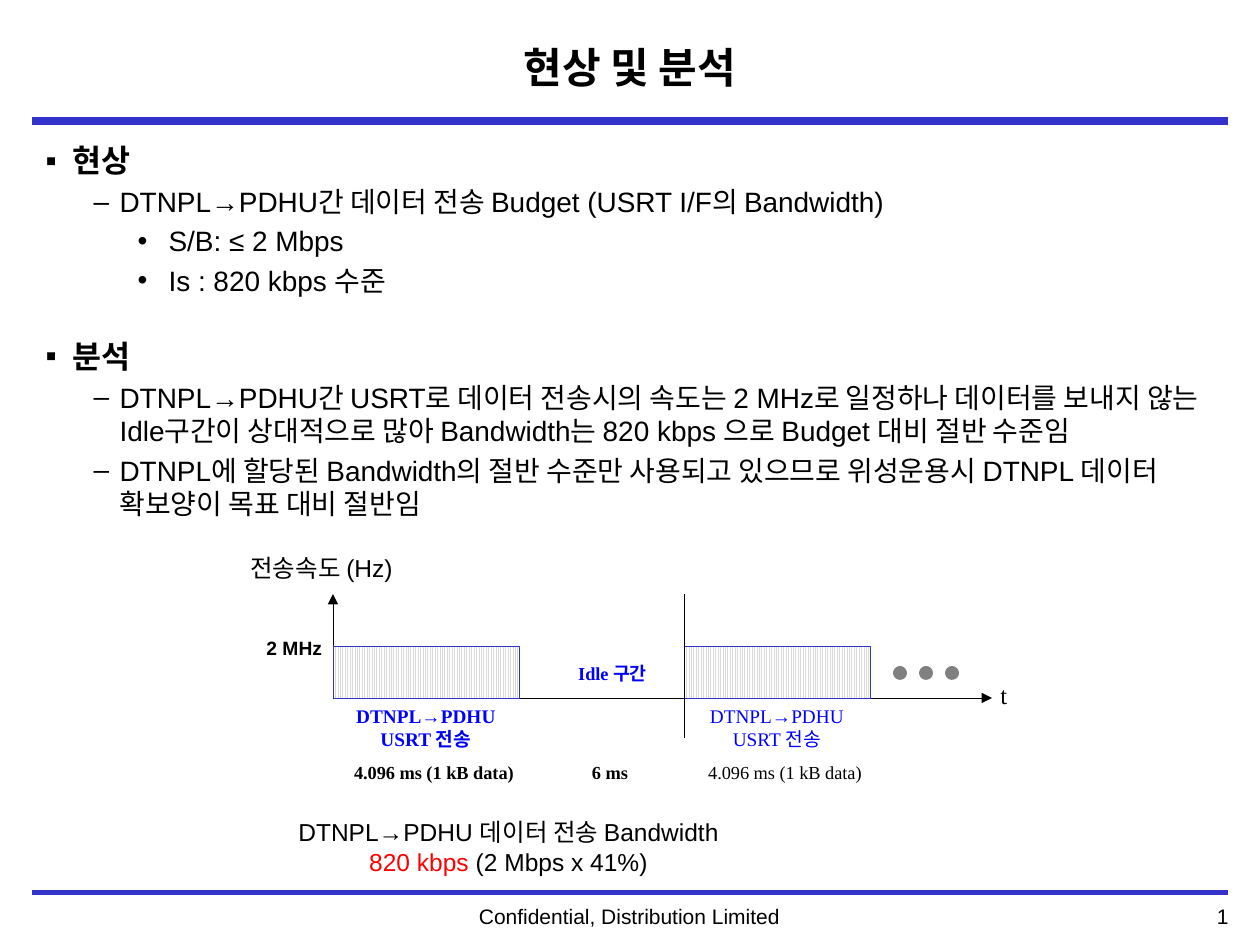
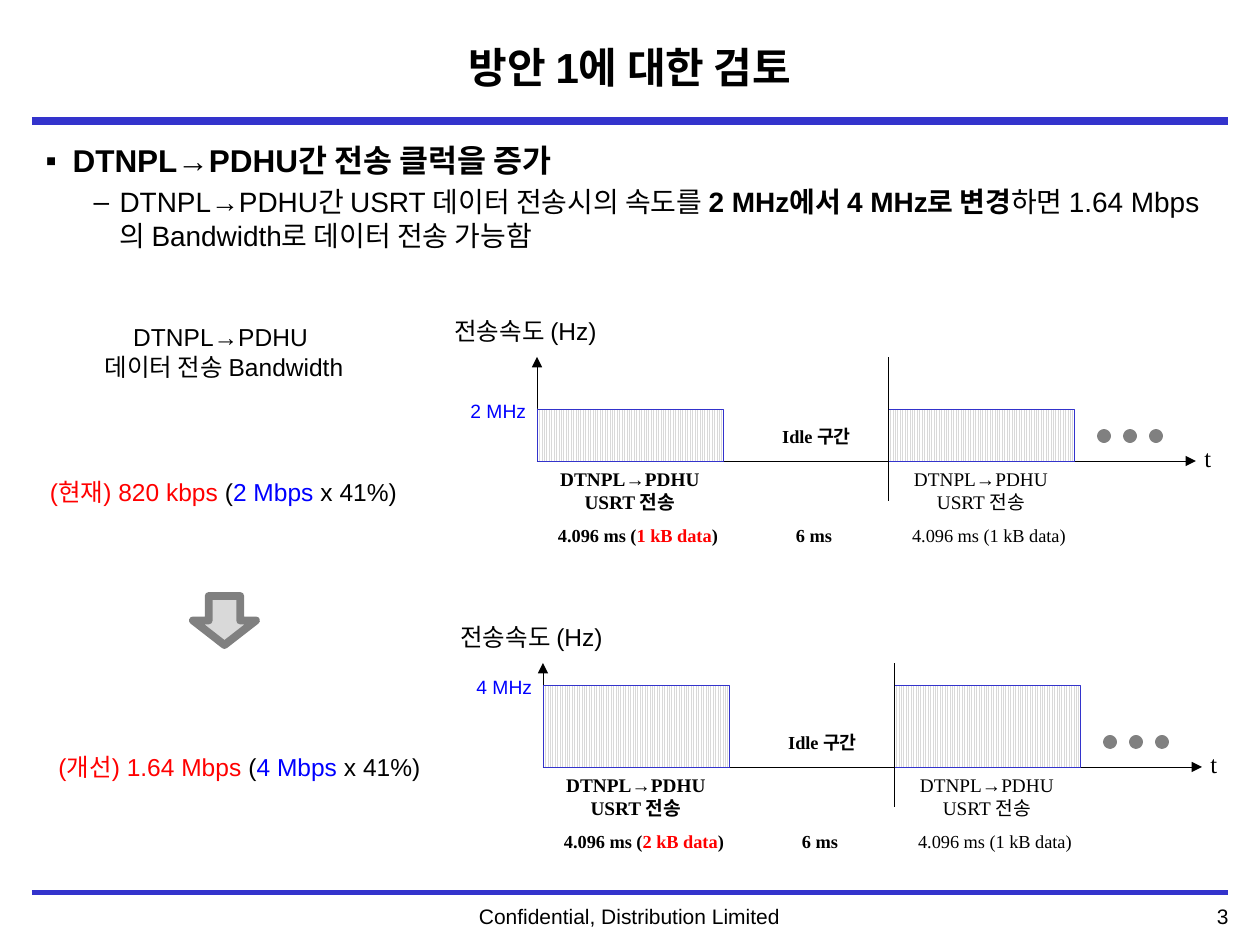
import pptx
import pptx.util
import pptx.dml.color
import pptx.enum.dml
import pptx.enum.shapes
import pptx.enum.text
import pptx.oxml.ns
from lxml import etree

# Shared look
BLACK, BLUE, RED = "000000", "0000FF", "FF0000"
BAND, GRAY, LIGHT, WHITE = "3333CC", "808080", "D9D9D9", "FFFFFF"
SANS, SERIF = "Arial", "Times New Roman"
LEFT = pptx.enum.text.PP_ALIGN.LEFT
CENTER = pptx.enum.text.PP_ALIGN.CENTER
RIGHT = pptx.enum.text.PP_ALIGN.RIGHT
SHAPE = pptx.enum.shapes.MSO_SHAPE
EMU_PER_PX = 914400 / 126
FOOTER = "Confidential, Distribution Limited"
BANDS = [(121, 4.5), (892, 2), (893, 2)]  # y, weight
# Per outline level: bullet, left margin px, hanging px, size
LEVELS = [("▪", 27, 27, 18), ("–", 74, 26, 16), ("•", 123, 31, 16)]
SECTION_GAP = 23

# Content: outline items are (level, [(text, bold), ...])
SLIDES = [
    {
        "title": "현상 및 분석",
        "number": "1",
        "body_width": 1212,
        "outline": [
            (0, [("현상", True)]),
            (1, [("DTNPL→PDHU간 데이터 전송 Budget (USRT I/F의 Bandwidth)", False)]),
            (2, [("S/B: ≤ 2 Mbps", False)]),
            (2, [("Is : 820 kbps 수준", False)]),
            (0, [("분석", True)]),
            (1, [("DTNPL→PDHU간 USRT로 데이터 전송시의 속도는 2 MHz로 일정하나 "
                  "데이터를 보내지 않는 Idle구간이 상대적으로 많아 Bandwidth는 "
                  "820 kbps 으로 Budget 대비 절반 수준임", False)]),
            (1, [("DTNPL에 할당된 Bandwidth의 절반 수준만 사용되고 있으므로 "
                  "위성운용시 DTNPL 데이터 확보양이 목표 대비 절반임", False)]),
        ],
        "timings": [
            {"origin": (333, 698), "height": 52, "rate": ("2 MHz", BLACK, True),
             "label_color": BLUE, "data": ("1 kB data", BLACK)},
        ],
        "notes": [
            ((276, 811, 465, 72), [
                [("DTNPL→PDHU 데이터 전송 Bandwidth", BLACK)],
                [("820 kbps ", RED), ("(2 Mbps x 41%)", BLACK)]]),
        ],
    },
    {
        "title": "방안 1에 대한 검토",
        "number": "3",
        "body_width": 1194,
        "outline": [
            (0, [("DTNPL→PDHU간 전송 클럭을 증가", True)]),
            (1, [("DTNPL→PDHU간 USRT 데이터 전송시의 속도를 ", False),
                 ("2 MHz에서 4 MHz로 변경", True),
                 ("하면 1.64 Mbps의 Bandwidth로 데이터 전송 가능함", False)]),
        ],
        "timings": [
            {"origin": (537, 461), "height": 52, "rate": ("2 MHz", BLUE, False),
             "label_color": BLACK, "data": ("1 kB data", RED)},
            {"origin": (543, 767), "height": 82, "rate": ("4 MHz", BLUE, False),
             "label_color": BLACK, "data": ("2 kB data", RED)},
        ],
        "notes": [
            ((77, 316, 294, 72), [
                [("DTNPL→PDHU ", BLACK)], [("데이터 전송 Bandwidth", BLACK)]]),
            ((15, 471, 417, 43), [
                [("(현재) 820 kbps ", RED), ("(", BLACK), ("2 Mbps ", BLUE), ("x 41%)", BLACK)]]),
            ((31, 746, 417, 43), [
                [("(개선) 1.64 Mbps ", RED), ("(", BLACK), ("4 Mbps ", BLUE), ("x 41%)", BLACK)]]),
        ],
        "arrow": (193, 596, 63, 49),
    },
]


# Helpers
def px(value):
    return pptx.util.Emu(round(value * EMU_PER_PX))


def rgb(value):
    return pptx.dml.color.RGBColor.from_string(value)


def add_run(paragraph, text, size, color=BLACK, bold=False, face=SANS):
    run = paragraph.add_run()
    run.text = text
    run.font.size = pptx.util.Pt(size)
    run.font.name = face
    run.font.bold = bold
    run.font.color.rgb = rgb(color)


def add_text(slide, box, lines, size, face=SANS, bold=False, align=CENTER, wrap=False):
    """Each line is a list of (text, colour) runs."""
    frame = slide.shapes.add_textbox(*map(px, box)).text_frame
    frame.word_wrap = wrap
    for index, line in enumerate(lines):
        paragraph = frame.add_paragraph() if index else frame.paragraphs[0]
        paragraph.alignment = align
        for text, color in line:
            add_run(paragraph, text, size, color, bold, face)


def style_line(shape, color, weight, detail=None, **attributes):
    shape.line.color.rgb = rgb(color)
    shape.line.width = pptx.util.Pt(weight)
    if detail:
        ln = shape.element.spPr.find(pptx.oxml.ns.qn("a:ln"))
        etree.SubElement(ln, pptx.oxml.ns.qn(detail), attributes)


def add_line(slide, start, end, color=BLACK, weight=0.5, arrow=False):
    line = slide.shapes.add_connector(
        pptx.enum.shapes.MSO_CONNECTOR.STRAIGHT, *map(px, start + end))
    if arrow:
        style_line(line, color, weight, "a:tailEnd", type="triangle")
    else:
        style_line(line, color, weight)
    etree.SubElement(line.element.spPr, pptx.oxml.ns.qn("a:effectLst"))


def add_solid(shapes, kind, box, fill):
    shape = shapes.add_shape(kind, *map(px, box))
    shape.shadow.inherit = False
    shape.fill.solid()
    shape.fill.fore_color.rgb = rgb(fill)
    style_line(shape, GRAY, 4.5, "a:round")


def place(placeholder, box):
    placeholder.left, placeholder.top, placeholder.width, placeholder.height = map(px, box)
    frame = placeholder.text_frame
    frame.auto_size = pptx.enum.text.MSO_AUTO_SIZE.NONE
    frame.word_wrap = True
    return frame


# Slide parts
def add_frame(slide, number):
    for y, weight in BANDS:
        add_line(slide, (32, y), (1228, y), BAND, weight)
    add_text(slide, (1037, 897, 204, 38), [[(number, BLACK)]], 12, align=RIGHT, wrap=True)
    add_text(slide, (309, 897, 641, 38), [[(FOOTER, BLACK)]], 12, wrap=True)


def fill_title(slide, title):
    frame = place(slide.shapes.title, (168, 18, 924, 97))
    frame.vertical_anchor = pptx.enum.text.MSO_ANCHOR.MIDDLE
    frame.paragraphs[0].alignment = CENTER
    add_run(frame.paragraphs[0], title, 24, bold=True)


def fill_outline(slide, outline, width):
    frame = place(slide.placeholders[1], (33, 135, width, 748))
    for index, (level, runs) in enumerate(outline):
        bullet, margin, hanging, size = LEVELS[level]
        paragraph = frame.add_paragraph() if index else frame.paragraphs[0]
        paragraph.level = level
        new_section = index and level == 0
        paragraph.space_before = pptx.util.Pt(SECTION_GAP if new_section else size / 5)
        properties = paragraph.element.get_or_add_pPr() if hasattr(paragraph, "element") \
            else paragraph._p.get_or_add_pPr()
        properties.set("marL", str(px(margin)))
        properties.set("indent", str(-px(hanging)))
        etree.SubElement(properties, pptx.oxml.ns.qn("a:buFont"), typeface=SANS)
        etree.SubElement(properties, pptx.oxml.ns.qn("a:buChar"), char=bullet)
        for text, bold in runs:
            add_run(paragraph, text, size, bold=bold)


def add_timing(slide, origin, height, rate, label_color, data):
    x, y = origin
    period = 351
    # Axes
    add_line(slide, origin, (x + 659, y), arrow=True)
    add_line(slide, origin, (x, y - 104), arrow=True)
    add_text(slide, (x + 655, y - 24, 33, 43), [[("t", BLACK)]], 14, SERIF, align=LEFT)
    add_text(slide, (x - 95, y - 151, 178, 43), [[("전송속도 (Hz)", BLACK)]], 14, align=LEFT)
    rate_text, rate_color, rate_bold = rate
    add_text(slide, (x - 79, y - height - 16, 82, 37), [[(rate_text, rate_color)]], 11,
             bold=rate_bold, align=LEFT)
    # Transmission pulses; the first one is emphasised
    for start, bold, (amount, amount_color) in (
            (x, True, data), (x + period, False, ("1 kB data", BLACK))):
        pulse = slide.shapes.add_shape(
            SHAPE.RECTANGLE, *map(px, (start, y - height, 186, height)))
        pulse.shadow.inherit = False
        pulse.fill.patterned()
        pulse.fill.pattern = pptx.enum.dml.MSO_PATTERN.LIGHT_VERTICAL
        pulse.fill.fore_color.rgb = rgb(LIGHT)
        pulse.fill.back_color.rgb = rgb(WHITE)
        style_line(pulse, BAND, 0.25)
        add_text(slide, (start + 10, y, 166, 59),
                 [[("DTNPL→PDHU", label_color)], [("USRT 전송", label_color)]],
                 11, SERIF, bold)
        add_text(slide, (start + 7, y + 57, 188, 35),
                 [[("4.096 ms (", BLACK), (amount, amount_color), (")", BLACK)]],
                 10.5, SERIF, bold)
    # Idle interval and start of the next period
    add_text(slide, (x + 231, y - 42, 97, 35), [[("Idle 구간", label_color)]],
             10.5, SERIF, True, wrap=True)
    add_text(slide, (x + 246, y + 57, 62, 35), [[("6 ms", BLACK)]], 10.5, SERIF, True)
    add_line(slide, (x + period, y + 40), (x + period, y - 104))
    # Continuation dots
    dots = slide.shapes.add_group_shape()
    for step in range(3):
        add_solid(dots.shapes, SHAPE.OVAL, (x + 564 + 26 * step, y - 28, 6, 6), GRAY)


def main():
    deck = pptx.Presentation()
    deck.slide_width, deck.slide_height = px(1260), px(945)
    for content in SLIDES:
        slide = deck.slides.add_slide(deck.slide_layouts[1])
        add_frame(slide, content["number"])
        fill_title(slide, content["title"])
        fill_outline(slide, content["outline"], content["body_width"])
        for timing in content["timings"]:
            add_timing(slide, **timing)
        for box, lines in content["notes"]:
            add_text(slide, box, lines, 14, wrap=True)
        if "arrow" in content:
            add_solid(slide.shapes, SHAPE.DOWN_ARROW, content["arrow"], LIGHT)
    deck.save("out.pptx")


if __name__ == "__main__":
    main()
